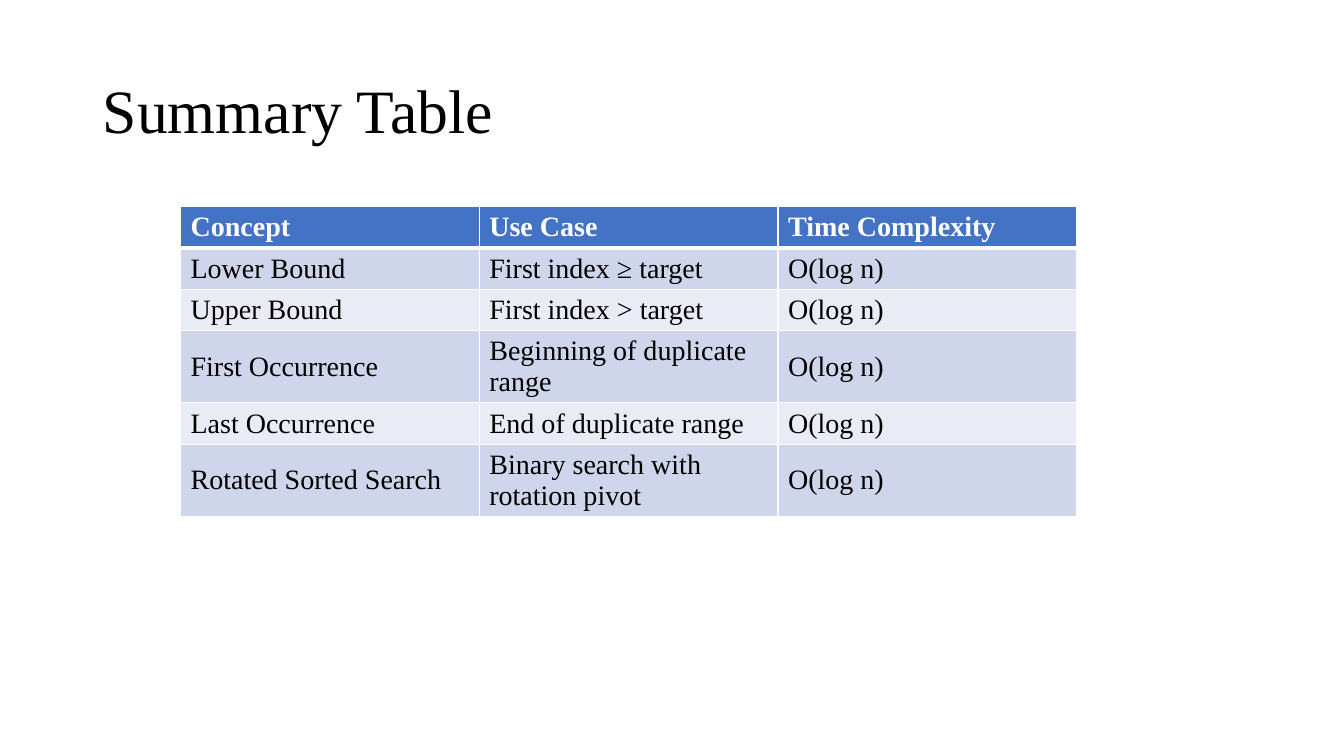
"""Build the summary table slide of binary search concepts."""
from dataclasses import dataclass

from lxml.etree import SubElement
from pptx import Presentation
from pptx.dml.color import RGBColor
from pptx.enum.text import MSO_ANCHOR, PP_ALIGN
from pptx.oxml.ns import qn
from pptx.util import Inches, Pt

TITLE = "Summary Table"
HEADINGS = ("Concept", "Use Case", "Time Complexity")
CONCEPTS = [
    ("Lower Bound", "First index ≥ target", "O(log n)"),
    ("Upper Bound", "First index > target", "O(log n)"),
    ("First Occurrence", "Beginning of duplicate range", "O(log n)"),
    ("Last Occurrence", "End of duplicate range", "O(log n)"),
    ("Rotated Sorted Search", "Binary search with rotation pivot", "O(log n)"),
]


@dataclass(frozen=True)
class Theme:
    font: str = "Times New Roman"
    title_size: int = 44
    table_size: int = 20
    text: str = "000000"
    heading_text: str = "FFFFFF"
    heading_fill: str = "4472C4"
    bands: tuple = ("CFD5EA", "E9EBF5")
    border: str = "FFFFFF"
    thin: int = 1
    thick: int = 3


THEME = Theme()


def add_text(paragraph, text, size, color, bold=False):
    run = paragraph.add_run()
    run.text = text
    run.font.name = THEME.font
    run.font.size = Pt(size)
    run.font.bold = bold
    run.font.color.rgb = RGBColor.from_string(color)


def add_borders(cell, top, bottom):
    properties = cell._tc.get_or_add_tcPr()
    widths = {"a:lnL": THEME.thin, "a:lnR": THEME.thin, "a:lnT": top, "a:lnB": bottom}
    for side, width in widths.items():
        line = SubElement(properties, qn(side), w=str(Pt(width)))
        fill = SubElement(line, qn("a:solidFill"))
        SubElement(fill, qn("a:srgbClr"), val=THEME.border)


def add_title(slide):
    title = slide.shapes.title
    title.left, title.top = Inches(0.92), Inches(0.4)
    title.width, title.height = Inches(11.5), Inches(1.45)
    title.text_frame.vertical_anchor = MSO_ANCHOR.MIDDLE
    paragraph = title.text_frame.paragraphs[0]
    paragraph.alignment = PP_ALIGN.LEFT
    paragraph.line_spacing = 0.9
    add_text(paragraph, TITLE, THEME.title_size, THEME.text)


def add_summary_table(slide):
    rows = [HEADINGS, *CONCEPTS]
    row_height = Inches(0.41)
    table = slide.shapes.add_table(
        len(rows), len(HEADINGS), Inches(1.79), Inches(2.05),
        Inches(8.89), row_height * len(rows),
    ).table
    for row in table.rows:
        row.height = row_height
    for row_index, values in enumerate(rows):
        heading = row_index == 0
        fill = THEME.heading_fill if heading else THEME.bands[(row_index - 1) % 2]
        color = THEME.heading_text if heading else THEME.text
        top = THEME.thick if row_index == 1 else THEME.thin
        bottom = THEME.thick if heading else THEME.thin
        for column_index, value in enumerate(values):
            cell = table.cell(row_index, column_index)
            add_borders(cell, top, bottom)
            cell.fill.solid()
            cell.fill.fore_color.rgb = RGBColor.from_string(fill)
            cell.vertical_anchor = MSO_ANCHOR.MIDDLE
            paragraph = cell.text_frame.paragraphs[0]
            add_text(paragraph, value, THEME.table_size, color, heading)


def main():
    presentation = Presentation()
    presentation.slide_width = Inches(13.33)
    presentation.slide_height = Inches(7.5)
    slide = presentation.slides.add_slide(presentation.slide_layouts[5])
    add_title(slide)
    add_summary_table(slide)
    presentation.save("out.pptx")


if __name__ == "__main__":
    main()
